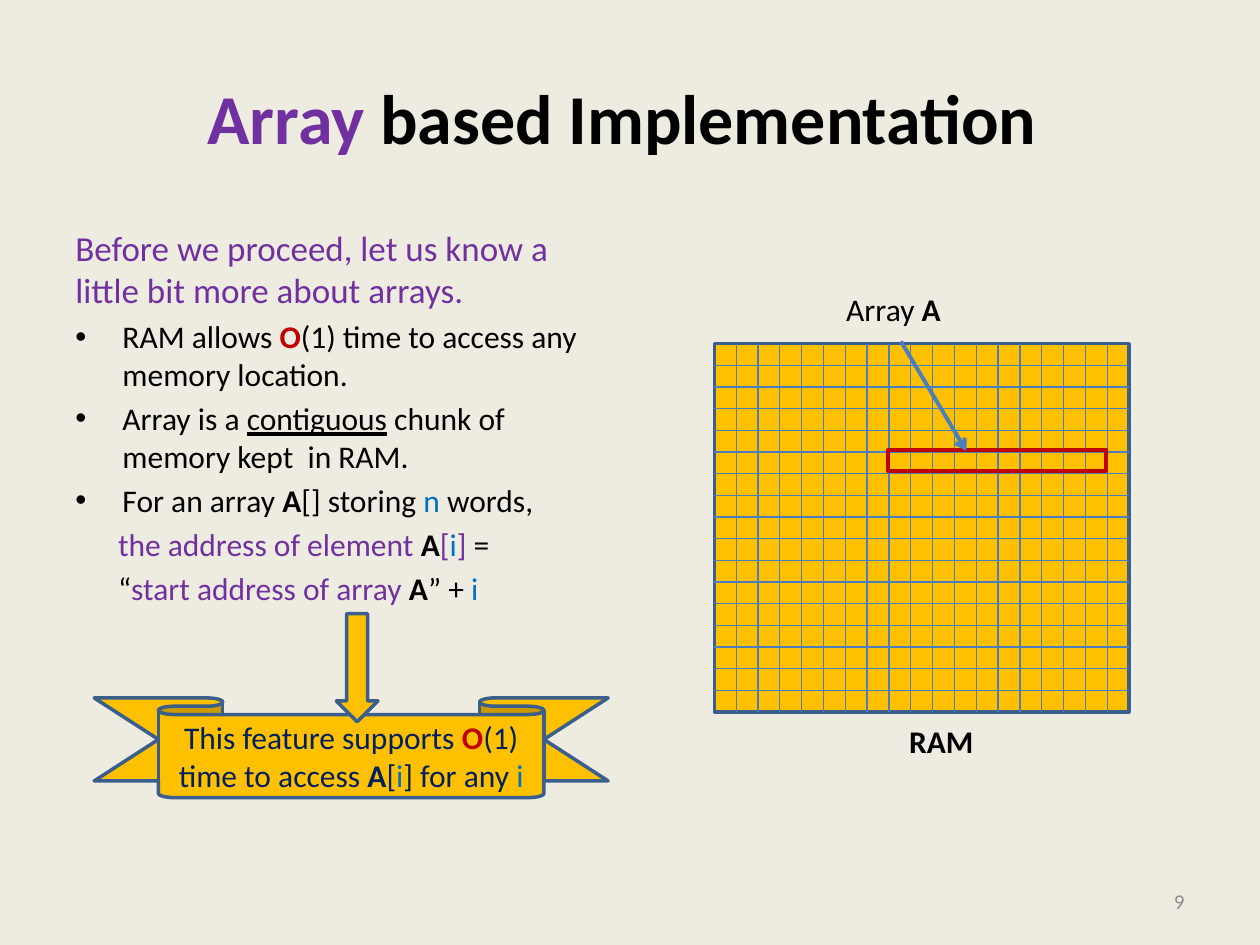
"""Build a slide explaining how an array is laid out in RAM."""
from typing import NamedTuple, Optional

from lxml.etree import SubElement
from pptx import Presentation
from pptx.dml.color import RGBColor
from pptx.enum.shapes import MSO_CONNECTOR, MSO_SHAPE
from pptx.enum.text import MSO_ANCHOR, PP_ALIGN
from pptx.oxml.ns import qn
from pptx.util import Cm, Pt

FONT = "Calibri"
BACKGROUND = RGBColor(0xEE, 0xEC, 0xE1)
BLACK = RGBColor(0x00, 0x00, 0x00)
PURPLE = RGBColor(0x70, 0x30, 0xA0)
RED = RGBColor(0xC0, 0x00, 0x00)
BLUE = RGBColor(0x00, 0x70, 0xC0)
NAVY = RGBColor(0x00, 0x20, 0x60)
GRAY = RGBColor(0x8C, 0x8C, 0x8C)
GOLD = RGBColor(0xFF, 0xC0, 0x00)
OUTLINE = RGBColor(0x3A, 0x5F, 0x8C)
GRID_BLUE = RGBColor(0x4B, 0x7E, 0xBC)


class Box(NamedTuple):
    left: float
    top: float
    width: float
    height: float

    def lengths(self) -> list:
        return [Cm(value) for value in self]


class Span(NamedTuple):
    text: str
    color: RGBColor = BLACK
    bold: bool = False
    underline: bool = False


class Line(NamedTuple):
    spans: list
    size: float = 18
    align: PP_ALIGN = PP_ALIGN.LEFT
    indent: float = 0
    bullet: bool = False
    space_before: float = 0


RAM = Box(14.4, 6.93, 8.36, 7.42)
COLUMNS, ROWS = 19, 17

TITLE = Line([Span("Array", PURPLE, True), Span(" based Implementation ", BLACK, True)],
             40, PP_ALIGN.CENTER)
BODY = [
    Line([Span("Before we proceed, let us know a little bit more about arrays.", PURPLE)],
         20, space_before=4),
    Line([Span("RAM allows "), Span("O", RED, True),
          Span("(1) time to access any memory location.")],
         indent=0.95, bullet=True, space_before=3.6),
    Line([Span("Array is a "), Span("contiguous", underline=True),
          Span(" chunk of memory kept  in RAM.")],
         indent=0.95, bullet=True, space_before=3.6),
    Line([Span("For an array "), Span("A", bold=True), Span("[] storing "),
          Span("n", BLUE), Span(" words,")],
         indent=0.95, bullet=True, space_before=3.6),
    Line([Span("the address of element ", PURPLE), Span("A", bold=True), Span("[", PURPLE),
          Span("i", BLUE), Span("]", PURPLE), Span(" =")],
         indent=0.86, space_before=3.6),
    Line([Span("“"), Span("start address of array ", PURPLE), Span("A", bold=True),
          Span("” + "), Span("i", BLUE)],
         indent=0.86, space_before=3.6),
]
CONCLUSION = Line([
    Span("This feature supports ", NAVY), Span("O", RED, True),
    Span("(1) time to access ", NAVY), Span("A", NAVY, True), Span("[", NAVY),
    Span("i", BLUE), Span("] for any ", NAVY), Span("i", BLUE),
], align=PP_ALIGN.CENTER)


def write_lines(text_frame, lines: list) -> None:
    for number, line in enumerate(lines):
        paragraph = text_frame.add_paragraph() if number else text_frame.paragraphs[0]
        paragraph.alignment = line.align
        paragraph.space_before = Pt(line.space_before)
        properties = paragraph._p.get_or_add_pPr()
        properties.set("marL", str(Cm(line.indent)))
        properties.set("indent", str(-Cm(line.indent) if line.bullet else 0))
        if line.bullet:
            SubElement(properties, qn("a:buFont")).set("typeface", "Arial")
            SubElement(properties, qn("a:buChar")).set("char", "•")
        for span in line.spans:
            run = paragraph.add_run()
            run.text = span.text
            run.font.name = FONT
            run.font.size = Pt(line.size)
            run.font.bold = span.bold
            run.font.underline = span.underline
            run.font.color.rgb = span.color


def add_text(shapes, box: Box, lines: list, wrap: bool = True,
             anchor: MSO_ANCHOR = MSO_ANCHOR.TOP) -> None:
    text_frame = shapes.add_textbox(*box.lengths()).text_frame
    text_frame.word_wrap = wrap
    text_frame.vertical_anchor = anchor
    write_lines(text_frame, lines)


def add_block(shapes, kind: MSO_SHAPE, box: Box, fill: Optional[RGBColor] = GOLD,
              color: RGBColor = OUTLINE, weight: float = 2):
    shape = shapes.add_shape(kind, *box.lengths())
    shape.shadow.inherit = False
    if fill is None:
        shape.fill.background()
    else:
        shape.fill.solid()
        shape.fill.fore_color.rgb = fill
    shape.line.color.rgb = color
    shape.line.width = Pt(weight)
    return shape


def add_line(shapes, start: tuple, end: tuple, weight: float = 0.75, arrow: bool = False) -> None:
    points = [Cm(value) for value in (*start, *end)]
    connector = shapes.add_connector(MSO_CONNECTOR.STRAIGHT, *points)
    connector.line.color.rgb = GRID_BLUE
    connector.line.width = Pt(weight)
    if arrow:
        SubElement(connector.line._get_or_add_ln(), qn("a:tailEnd")).set("type", "arrow")
    SubElement(connector._element.spPr, qn("a:effectLst"))


def add_memory(shapes) -> None:
    add_block(shapes, MSO_SHAPE.RECTANGLE, RAM)
    right, bottom = RAM.left + RAM.width, RAM.top + RAM.height
    for column in range(1, COLUMNS):
        x = RAM.left + column * RAM.width / COLUMNS
        add_line(shapes, (x, RAM.top), (x, bottom))
    for row in range(1, ROWS):
        y = RAM.top + row * RAM.height / ROWS
        add_line(shapes, (RAM.left, y), (right, y))
    add_text(shapes, Box(18.08, 14.43, 1.83, 1.02), [Line([Span("RAM", bold=True)])], wrap=False)


def add_array(shapes) -> None:
    add_block(shapes, MSO_SHAPE.RECTANGLE, Box(17.91, 9.07, 4.39, 0.43), None, RED, 2.25)
    add_text(shapes, Box(16.81, 5.72, 2.41, 1.02),
             [Line([Span("Array "), Span("A", bold=True)])], wrap=False)
    add_line(shapes, (18.16, 6.88), (19.48, 9.09), 2.25, arrow=True)


def add_conclusion(shapes) -> None:
    ribbon = add_block(shapes, MSO_SHAPE.DOWN_RIBBON, Box(1.9, 14.07, 10.36, 2.01))
    ribbon.adjustments[0] = 0.167
    ribbon.adjustments[1] = 0.75
    ribbon.text_frame.word_wrap = True
    ribbon.text_frame.vertical_anchor = MSO_ANCHOR.MIDDLE
    write_lines(ribbon.text_frame, [CONCLUSION])
    add_block(shapes, MSO_SHAPE.DOWN_ARROW, Box(6.78, 12.37, 0.84, 2.18))


def main() -> None:
    presentation = Presentation()
    presentation.slide_width, presentation.slide_height = Cm(25.4), Cm(19.05)
    slide = presentation.slides.add_slide(presentation.slide_layouts.get_by_name("Title Only"))
    slide.background.fill.solid()
    slide.background.fill.fore_color.rgb = BACKGROUND

    title = slide.shapes.title
    title.left, title.top, title.width, title.height = Box(1.27, 0.76, 22.86, 3.18).lengths()
    title.text_frame.vertical_anchor = MSO_ANCHOR.MIDDLE
    write_lines(title.text_frame, [TITLE])

    add_text(slide.shapes, Box(1.27, 4.45, 11.23, 12.57), BODY)
    add_text(slide.shapes, Box(18.2, 17.65, 5.93, 1.02),
             [Line([Span("9", GRAY)], 12, PP_ALIGN.RIGHT)], anchor=MSO_ANCHOR.MIDDLE)
    for draw in (add_memory, add_array, add_conclusion):
        draw(slide.shapes.add_group_shape().shapes)
    presentation.save("out.pptx")


if __name__ == "__main__":
    main()
